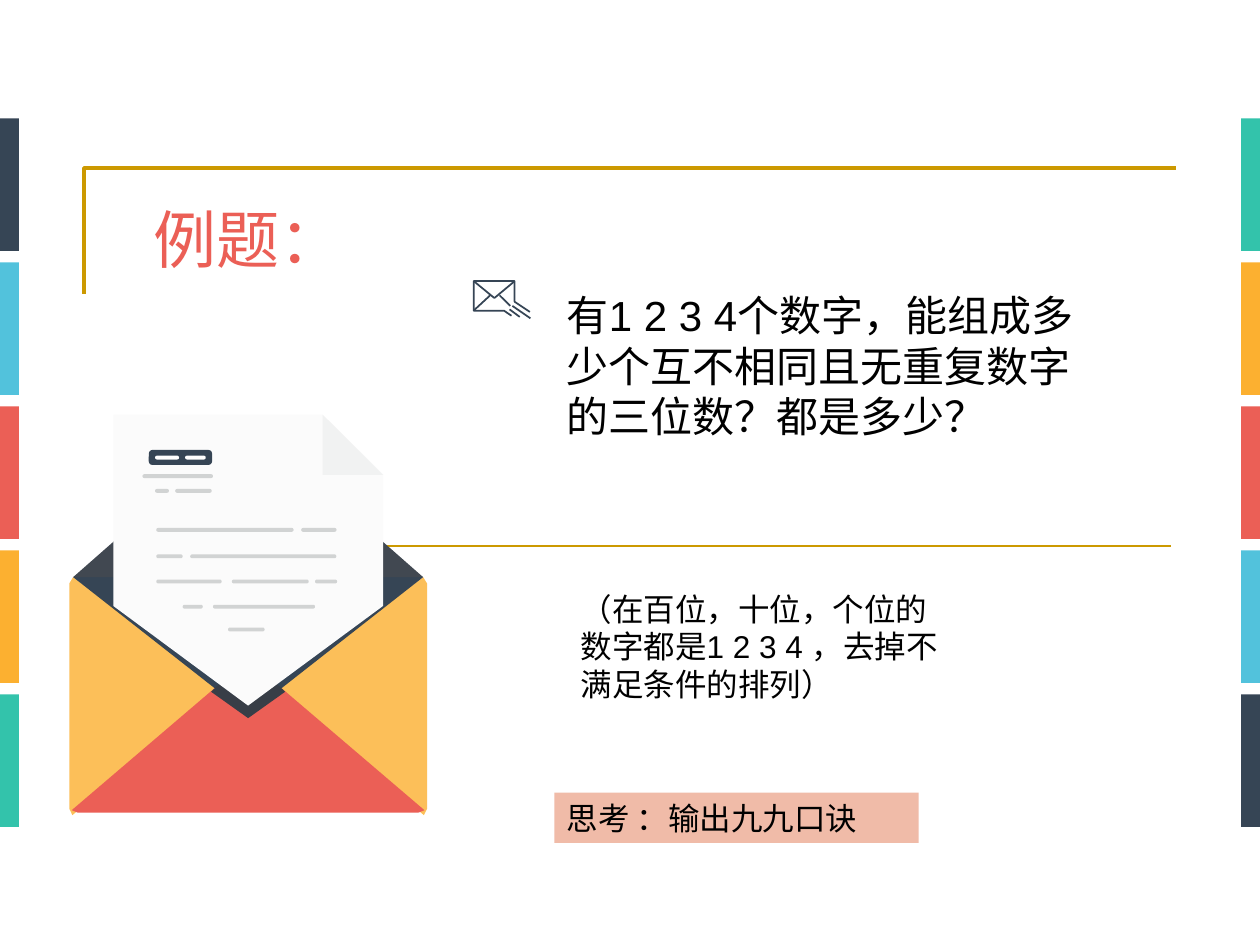
import pptx
import pptx.dml.color
import pptx.enum.shapes
import pptx.enum.text
import pptx.oxml
import pptx.oxml.ns
import pptx.util

Pt = pptx.util.Pt
qn = pptx.oxml.ns.qn
MSO_SHAPE = pptx.enum.shapes.MSO_SHAPE

GOLD, NAVY, BLUE, CORAL = "CC9900", "364555", "52C2DC", "EB5F56"
AMBER, TEAL, GREY, WHITE = "FCB030", "33C3AB", "D1D3D3", "FFFFFF"
CJK_FONT = "Noto Sans CJK SC"
ENVELOPE_AXIS = 141.8

LETTER_DASHES = [  # top, then (left, width) of each dash
    (271, [(81.4, 40.3)]),
    (279.4, [(88.6, 7.9), (100.1, 20.9)]),
    (301.7, [(89.3, 78.5), (172.1, 20.2)]),
    (316.8, [(89.3, 15.1), (108.7, 83.5)]),
    (331.2, [(89.3, 37.4), (132.5, 43.9), (180, 12.6)]),
    (345.6, [(104.4, 11.5), (121.7, 58.3)]),
    (358.6, [(130.3, 20.9)]),
]


def rgb(hex_code):
    return pptx.dml.color.RGBColor.from_string(hex_code)


def fill_flat(shape, colour, opacity=100):
    shape.shadow.inherit = False
    shape.fill.solid()
    shape.fill.fore_color.rgb = rgb(colour)
    shape.line.fill.background()
    if opacity < 100:
        srgb = shape.fill._xPr.find(qn("a:solidFill")).find(qn("a:srgbClr"))
        alpha = pptx.oxml.parse_xml(
            '<a:alpha xmlns:a="http://schemas.openxmlformats.org/drawingml/2006/main"'
            f' val="{opacity * 1000}"/>')
        srgb.append(alpha)


def freeform(slide, points, close):
    corners = [(Pt(x), Pt(y)) for x, y in points]
    builder = slide.shapes.build_freeform(*corners[0])
    builder.add_line_segments(corners[1:], close=close)
    return builder.convert_to_shape()


def polygon(slide, points, colour, opacity=100):
    fill_flat(freeform(slide, points, True), colour, opacity)


def polyline(slide, points, colour, width):
    shape = freeform(slide, points, False)
    shape.shadow.inherit = False
    shape.fill.background()
    shape.line.color.rgb = rgb(colour)
    shape.line.width = Pt(width)


def straight_line(slide, start, end, colour, width):
    line = slide.shapes.add_connector(
        pptx.enum.shapes.MSO_CONNECTOR.STRAIGHT, *map(Pt, start + end))
    line.line.color.rgb = rgb(colour)
    line.line.width = Pt(width)
    properties = line._element.spPr
    properties.append(properties.makeelement(qn("a:effectLst"), {}))


def bar(slide, left, top, width, height, colour, rounding=0):
    kind = MSO_SHAPE.ROUNDED_RECTANGLE if rounding else MSO_SHAPE.RECTANGLE
    shape = slide.shapes.add_shape(kind, Pt(left), Pt(top), Pt(width), Pt(height))
    if rounding:
        shape.adjustments[0] = rounding
    fill_flat(shape, colour)


def format_text(frame, size, colour, font):
    frame.word_wrap = True
    frame.vertical_anchor = pptx.enum.text.MSO_ANCHOR.TOP
    for run in frame.paragraphs[0].runs:
        run.font.size = Pt(size)
        run.font.name = font
        run.font.color.rgb = rgb(colour)
        properties = run.font._element
        properties.find(qn("a:latin")).addnext(
            properties.makeelement(qn("a:ea"), {"typeface": CJK_FONT}))


def text_block(slide, text, left, top, width, height, size, background=None):
    block = slide.shapes.add_textbox(Pt(left), Pt(top), Pt(width), Pt(height))
    block.text_frame.text = text
    format_text(block.text_frame, size, "000000", "Arial")
    if background:
        fill_flat(block, background)


def title(slide, text):
    heading = slide.shapes.title
    heading.left, heading.top, heading.width, heading.height = map(
        Pt, (47.5, 97.9, 188.6, 64.1))
    heading.text_frame.text = text
    format_text(heading.text_frame, 36, CORAL, CJK_FONT)
    heading.text_frame.auto_size = pptx.enum.text.MSO_AUTO_SIZE.NONE
    paragraph = heading.text_frame.paragraphs[0]
    paragraph.alignment = pptx.enum.text.PP_ALIGN.CENTER
    paragraph.line_spacing = 1.3


def mirrored(points):
    return [(2 * ENVELOPE_AXIS - x, y) for x, y in points]


def symmetric(left_half):
    """Complete an outline whose left half runs from top to bottom."""
    return left_half + mirrored(left_half)[::-1]


def envelope(slide):
    axis = ENVELOPE_AXIS
    side = [(41.8, 329.8), (127.5, 392.4), (41.4, 465.8), (39.6, 462.2), (39.6, 333.4)]
    for flap in (mirrored(side), side):
        polygon(slide, flap, AMBER, 80)
    symmetric_parts = [
        ([(axis, 403.2), (125.3, 391), (41, 463), (44.6, 464.4)], CORAL),
        ([(44.6, 328.3), (41.8, 329.8), (125.3, 395.3), (axis, 408.2)], NAVY),
        ([(axis, 403.2), (125.3, 391), (120.6, 395.3), (axis, 410.4)], "383E47"),
        ([(axis, 241.9), (41.8, 329.8)], "414851"),
    ]
    for left_half, colour in symmetric_parts:
        polygon(slide, symmetric(left_half), colour)


def letter(slide):
    polygon(slide, [(184.3, 236.9), (64.8, 236.9), (64.8, 346.3),
                    (ENVELOPE_AXIS, 403.2), (218.9, 346.3), (218.9, 271.4)], "FBFBFB")
    polygon(slide, [(184.3, 271.4), (218.9, 271.4), (184.3, 236.9)], "F1F2F2")
    bar(slide, 85, 257.1, 36.2, 8.6, NAVY, 0.25)
    for left, width in ((88.6, 13.7), (105.8, 11.8)):
        bar(slide, left, 260.4, width, 2.2, WHITE, 0.5)
    for top, dashes in LETTER_DASHES:
        for left, width in dashes:
            bar(slide, left, top, width, 2.2, GREY, 0.5)


def mail_icon(slide):
    outline = [(292.3, 180.4), (288, 177.5), (270.7, 177.5), (270.7, 160.6),
               (294.1, 160.6), (294.1, 172.4), (302.8, 178.2)]
    flap = [(270.9, 160.8), (282.5, 170.3), (293.9, 160.8)]
    for points in (outline, flap):
        polyline(slide, points, NAVY, 1)
    creases = [((270.9, 177.3), (280.1, 168.8)), ((285.5, 168.8), (291.6, 174.8))]
    trails = [((292.8, 174.8), (303.1, 181.9)), ((291.2, 176.8), (297, 181.1))]
    for start, end in creases + trails:
        straight_line(slide, start, end, NAVY, 1)


def side_stripes(slide):
    colours = [TEAL, AMBER, CORAL, BLUE, NAVY]
    for left, column in ((709.2, colours), (0, colours[::-1])):
        for row, colour in enumerate(column):
            bar(slide, left, 67.6 + 82.3 * row, 10.8, 75.8, colour)


def main():
    presentation = pptx.Presentation()
    presentation.slide_width, presentation.slide_height = Pt(720), Pt(540)
    slide = presentation.slides.add_slide(presentation.slide_layouts[5])

    polyline(slide, [(48, 168), (48, 96), (672, 96)], GOLD, 2)
    straight_line(slide, (156, 312), (669, 312), GOLD, 1.5)
    title(slide, "例题：")
    envelope(slide)
    letter(slide)
    mail_icon(slide)
    side_stripes(slide)
    text_block(slide, "有1 2 3 4个数字，能组成多少个互不相同且无重复数字的三位数？都是多少？",
               316.8, 162, 323.3, 94.3, 24)
    text_block(slide, "（在百位，十位，个位的数字都是1 2 3 4 ，去掉不满足条件的排列）",
               324.7, 333.4, 221.8, 72.7, 18)
    text_block(slide, "思考 ：输出九九口诀", 316.8, 452.9, 208.1, 28.8, 18, "F0BBA8")

    presentation.save("out.pptx")


if __name__ == "__main__":
    main()
